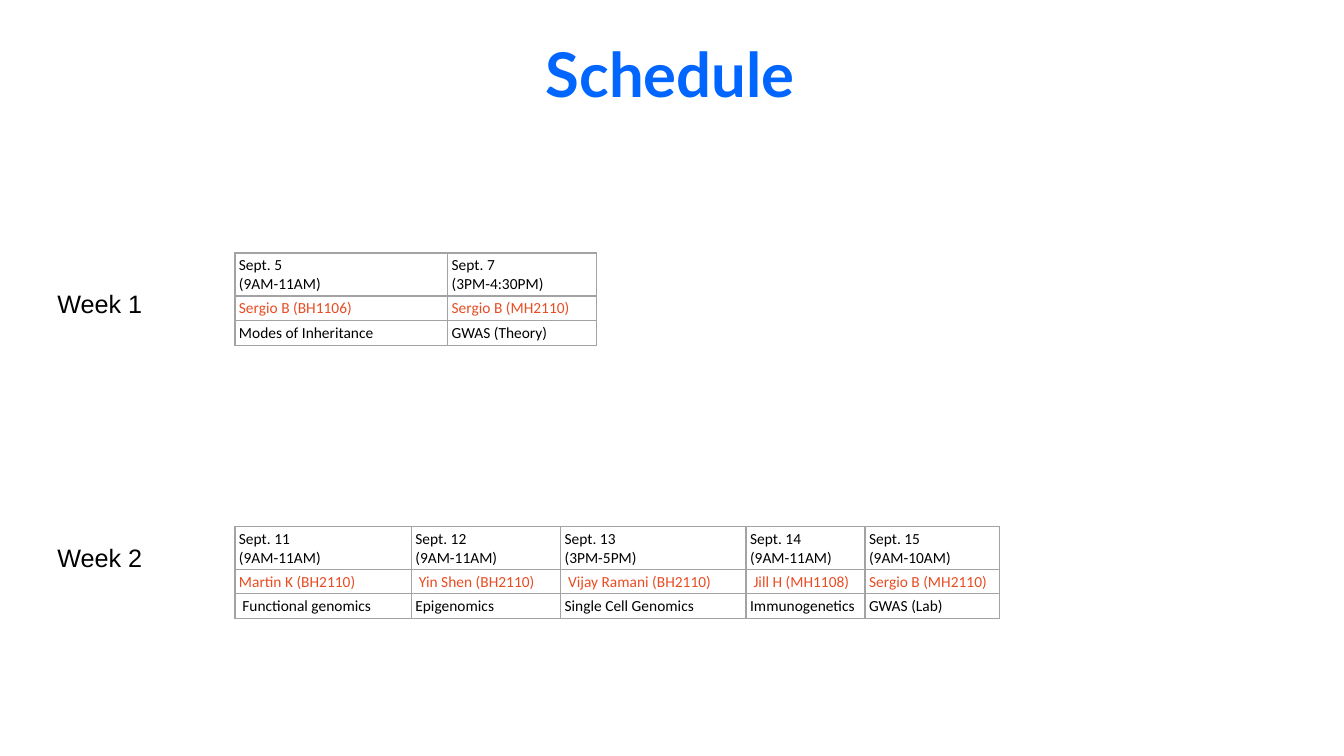
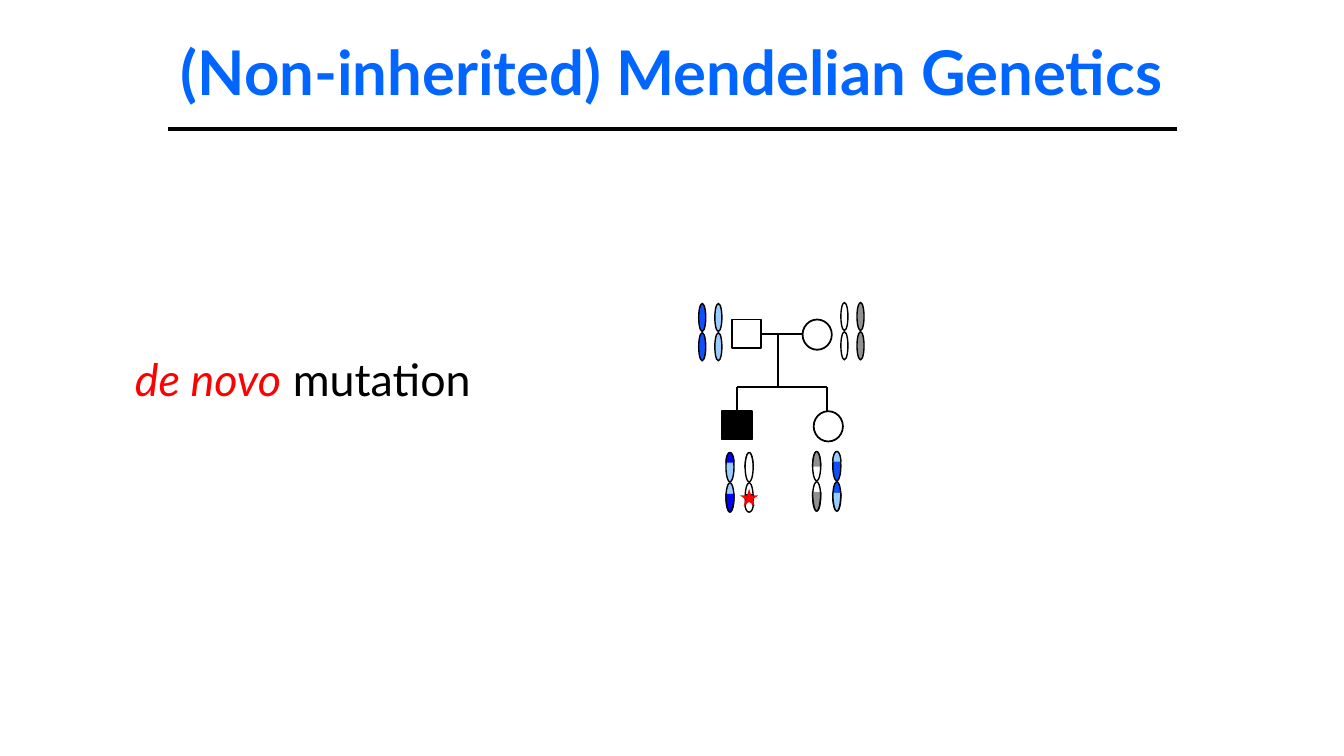
"""Build a course schedule slide and a de novo mutation pedigree slide."""
from math import cos, pi, sin

from lxml import etree
from pptx import Presentation
from pptx.dml.color import RGBColor
from pptx.enum.shapes import MSO_CONNECTOR, MSO_SHAPE
from pptx.enum.text import MSO_ANCHOR, PP_ALIGN
from pptx.oxml.ns import qn
from pptx.util import Pt

PX = 9144
STRAIGHT = MSO_CONNECTOR.STRAIGHT
OVAL, SQUARE, STAR = MSO_SHAPE.OVAL, MSO_SHAPE.RECTANGLE, MSO_SHAPE.STAR_5_POINT
TOP, MIDDLE = MSO_ANCHOR.TOP, MSO_ANCHOR.MIDDLE
LEFT, CENTER = PP_ALIGN.LEFT, PP_ALIGN.CENTER
COLORS = {
    "title": "0066FF", "text": "000000", "speaker": "E84C22", "border": "A3A3A3",
    "red": "FF0000", "white": "FFFFFF", "gray": "919191", "sky": "99CCFF",
    "blue": "114FFB", "navy": "0000FF",
}
RGB = {name: RGBColor.from_string(value) for name, value in COLORS.items()}
TITLE_STYLE = {"size": 44, "font": "Lato", "bold": True, "align": CENTER}


def add_text(slide, box, runs, size, font, bold=False, align=LEFT, anchor=TOP, wrap=True):
    """Add a one-paragraph text box of (text, color, italic) runs."""
    frame = slide.shapes.add_textbox(*[v * PX for v in box]).text_frame
    frame.word_wrap = wrap
    frame.vertical_anchor = anchor
    paragraph = frame.paragraphs[0]
    paragraph.alignment = align
    for text, color, italic in runs:
        run = paragraph.add_run()
        run.text = text
        run.font.size, run.font.name = Pt(size), font
        run.font.bold, run.font.italic = bold, italic
        run.font.color.rgb = RGB[color]


def paint(shape, fill, weight):
    """Give a shape its fill and black outline; None leaves either out."""
    shape.shadow.inherit = False
    if fill:
        shape.fill.solid()
        shape.fill.fore_color.rgb = RGB[fill]
    else:
        shape.fill.background()
    if weight:
        shape.line.color.rgb = RGB["text"]
        shape.line.width = Pt(weight)
    else:
        shape.line.fill.background()


prs = Presentation()
prs.slide_width, prs.slide_height = 1333 * PX, 750 * PX
blank = prs.slide_layouts[6]

schedule = prs.slides.add_slide(blank)
add_text(schedule, (528, 31, 274, 84), [("Schedule", "title", False)], wrap=False, **TITLE_STYLE)

weeks = [
    ("Week 1", 281, 251, [
        (211, "Sept. 5\n(9AM-11AM)", "Sergio B (BH1106)", "Modes of Inheritance"),
        (148, "Sept. 7\n(3PM-4:30PM)", "Sergio B (MH2110)", "GWAS (Theory)"),
    ]),
    ("Week 2", 533, 522, [
        (175, "Sept. 11\n(9AM-11AM)", "Martin K (BH2110)", " Functional genomics"),
        (148, "Sept. 12\n(9AM-11AM)", " Yin Shen (BH2110)", "Epigenomics"),
        (184, "Sept. 13\n(3PM-5PM)", " Vijay Ramani (BH2110)", "Single Cell Genomics"),
        (118, "Sept. 14\n(9AM-11AM)", " Jill H (MH1108)", "Immunogenetics"),
        (133, "Sept. 15\n(9AM-10AM)", "Sergio B (MH2110)", "GWAS (Lab)"),
    ]),
]
row_heights = (42, 24, 24)
row_colors = ("text", "speaker", "text")
for week, label_top, table_top, sessions in weeks:
    add_text(schedule, (47, label_top, 105, 40), [(week, "text", False)], 18, "Arial", wrap=False)
    width = sum(session[0] for session in sessions)
    table = schedule.shapes.add_table(
        3, len(sessions), 233 * PX, table_top * PX, width * PX, sum(row_heights) * PX).table
    table.first_row = table.horz_banding = False
    for row, height in zip(table.rows, row_heights):
        row.height = height * PX
    for col, (col_width, *details) in enumerate(sessions):
        table.columns[col].width = col_width * PX
        for row, (detail, color) in enumerate(zip(details, row_colors)):
            cell = table.cell(row, col)
            cell.margin_left = cell.margin_right = 4 * PX
            cell.margin_top = cell.margin_bottom = 3 * PX
            cell.text_frame.text = detail
            for paragraph in cell.text_frame.paragraphs:
                font = paragraph.runs[0].font
                font.size, font.name = Pt(11), "Calibri"
                font.color.rgb = RGB[color]
            for side in ("a:lnL", "a:lnR", "a:lnT", "a:lnB"):
                border = etree.SubElement(cell._tc.get_or_add_tcPr(), qn(side), w=str(Pt(1)))
                solid = etree.SubElement(border, qn("a:solidFill"))
                etree.SubElement(solid, qn("a:srgbClr"), val=COLORS["border"])
            cell.fill.background()

genetics = prs.slides.add_slide(blank)
add_text(genetics, (124, 344, 569, 80),
         [("de novo", "red", True), (" mutation", "text", False)], 32, "Lato")
add_text(genetics, (133, 8, 1067, 125),
         [("(Non-inherited) Mendelian Genetics", "title", False)], anchor=MIDDLE, **TITLE_STYLE)

people = {
    "father": (SQUARE, 726, 317, 29, 28, None),
    "mother": (OVAL, 796, 317, 29, 30, None),
    "son": (SQUARE, 716, 408, 30, 28, "text"),
    "daughter": (OVAL, 807, 408, 29, 30, None),
}
members = {}
for person, (symbol, *box, fill) in people.items():
    members[person] = genetics.shapes.add_shape(symbol, *[v * PX for v in box])
    paint(members[person], fill, 1.25)

chromosomes = [
    (850, 300, 7, 28, "gray", None, 0, 0),
    (834, 300, 7, 28, None, None, 0, 0),
    (709, 301, 7, 28, "sky", None, 0, 0),
    (693, 301, 7, 28, "blue", None, 0, 0),
    (806, 448, 8, 29, None, "gray", 15, 19),
    (826, 448, 8, 29, "blue", "sky", 10, 18),
    (739, 449, 8, 29, None, "white", 15, 7),
    (720, 449, 8, 29, "sky", "navy", 10, 18),
]
for left, top, width, arm, fill, swapped, upper, lower in chromosomes:
    for arm_top in (top, top + arm + 1):
        paint(genetics.shapes.add_shape(
            OVAL, left * PX, arm_top * PX, width * PX, arm * PX), fill, 1)
    if swapped:
        bottom = top + 2 * arm + 1
        for cut, depth in ((top + upper, -upper), (bottom - lower, lower)):
            arc = [(round((left + width / 2 * (1 - cos(step * pi / 16))) * PX),
                    round((cut + depth * sin(step * pi / 16)) * PX)) for step in range(17)]
            outline = genetics.shapes.build_freeform(*arc[0])
            outline.add_line_segments(arc[1:], close=False)
            paint(outline.convert_to_shape(), swapped, 1)

lines = {
    "title rule": (167, 128, 1167, 128, 2.25),
    "couple": (755, 331, 796, 331, 1.25),
    "descent": (772, 331, 772, 384, 1.25),
    "siblings": (731, 384, 820, 384, 1.25),
    "son drop": (731, 384, 731, 408, 1.25),
    "daughter drop": (820, 384, 820, 408, 1.25),
    "mutated locus": (747, 493, 739, 493, 4),
}
links = {}
for role, (*ends, weight) in lines.items():
    link = genetics.shapes.add_connector(STRAIGHT, *[v * PX for v in ends])
    link.line.color.rgb = RGB["text"]
    link.line.width = Pt(weight)
    etree.SubElement(link._element.spPr, qn("a:effectLst"))
    links[role] = link
links["couple"].begin_connect(members["father"], 3)
links["son drop"].end_connect(members["son"], 0)

mutation = genetics.shapes.add_shape(STAR, 734 * PX, 485 * PX, 18 * PX, 17 * PX)
paint(mutation, "red", None)

prs.save("out.pptx")
